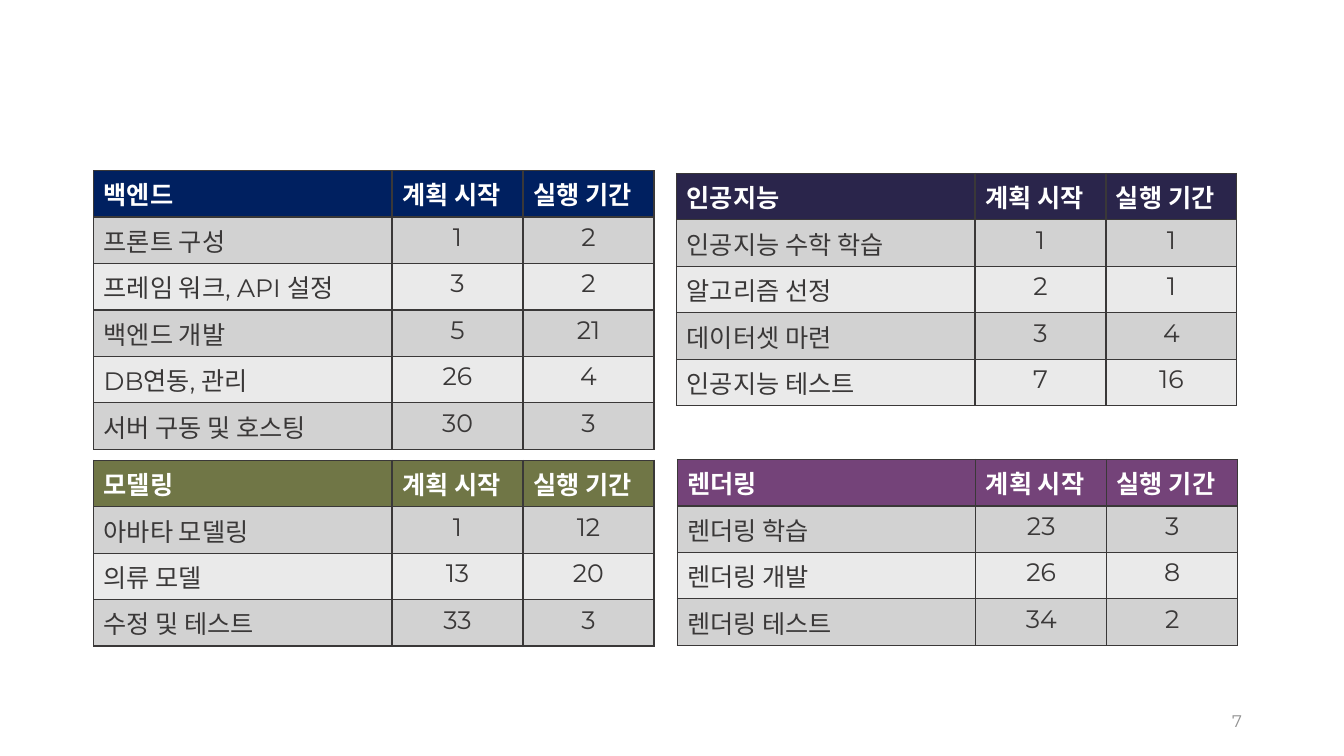
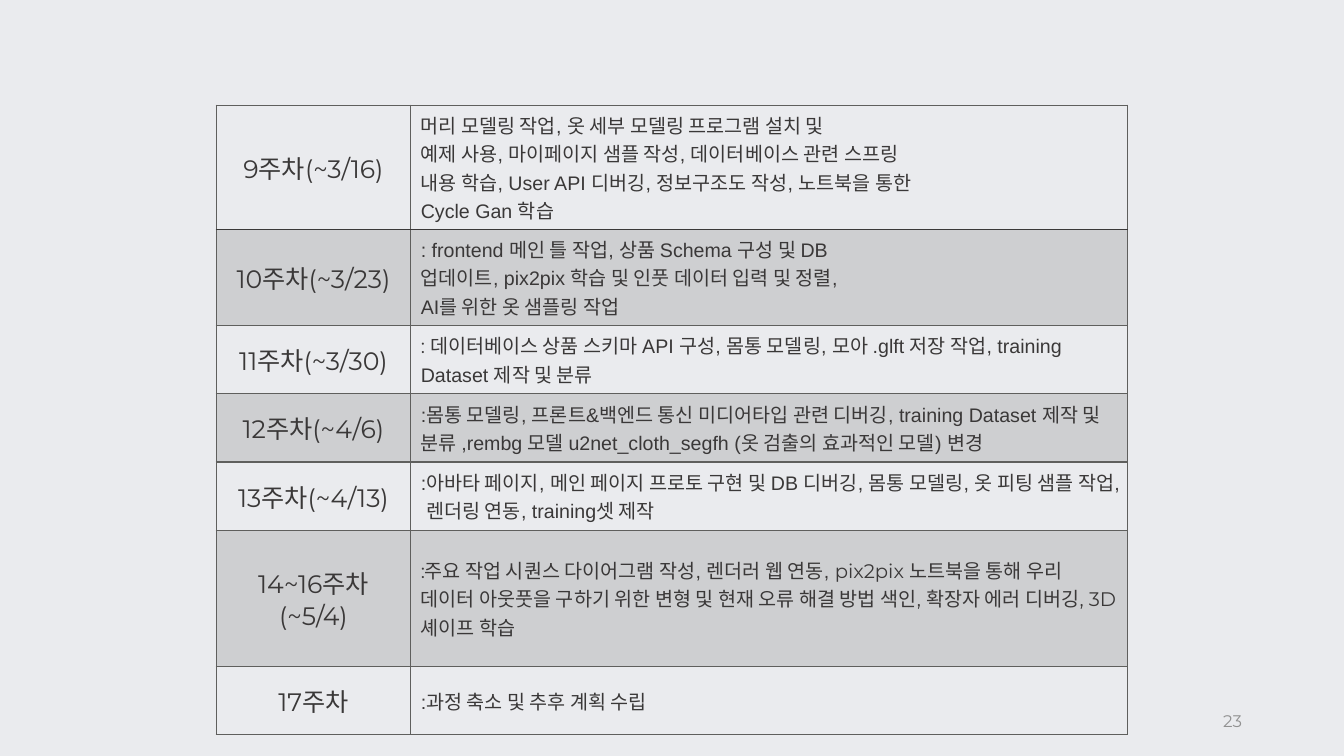
from dataclasses import dataclass

from lxml.etree import SubElement
from pptx import Presentation
from pptx.dml.color import RGBColor
from pptx.enum.text import MSO_ANCHOR as Anchor, PP_ALIGN as Align
from pptx.oxml import parse_xml
from pptx.oxml.ns import nsdecls, qn
from pptx.util import Cm, Pt


@dataclass(frozen=True)
class Theme:
    white: str = "FFFFFF"
    mist: str = "EAEBEE"
    ink: str = "3A3838"
    rule: str = "5F5F5D"
    number: str = "919191"
    odd_row: str = "D2D2D2"
    even_row: str = "EAEAEA"
    navy: str = "002060"
    indigo: str = "2A254B"
    olive: str = "707646"
    purple: str = "744379"
    heading_font: str = "Montserrat"
    body_font: str = "Arial"
    large: int = 18
    medium: int = 14
    small: int = 12


THEME = Theme()
HEADINGS = ["계획 시작", "실행 기간"]
TASK_COLUMNS = [7.52, 3.3, 3.3]
TASK_ROW = 1.17
WEEK_COLUMNS = [4.9, 18.06]

PLANS = [
    (17.07, 11.58, THEME.purple, "렌더링",
     [("렌더링 학습", 23, 3), ("렌더링 개발", 26, 8), ("렌더링 테스트", 34, 2)]),
    (2.36, 11.6, THEME.olive, "모델링",
     [("아바타 모델링", 1, 12), ("의류 모델", 13, 20), ("수정 및 테스트", 33, 3)]),
    (17.05, 4.37, THEME.indigo, "인공지능",
     [("인공지능 수학 학습", 1, 1), ("알고리즘 선정", 2, 1),
      ("데이터셋 마련", 3, 4), ("인공지능 테스트", 7, 16)]),
    (2.36, 4.3, THEME.navy, "백엔드",
     [("프론트 구성", 1, 2), ("프레임 워크, API 설정", 3, 2),
      ("백엔드 개발", 5, 21), ("DB연동, 관리", 26, 4),
      ("서버 구동 및 호스팅", 30, 3)]),
]

WEEKS = [
    ("9주차(~3/16)", 3.13, [
        "머리 모델링 작업, 옷 세부 모델링 프로그램 설치 및",
        "예제 사용, 마이페이지 샘플 작성, 데이터베이스 관련 스프링",
        "내용 학습, User API 디버깅, 정보구조도 작성, 노트북을 통한",
        "Cycle Gan 학습"]),
    ("10주차(~3/23)", 2.42, [
        ": frontend 메인 틀 작업, 상품 Schema 구성 및 DB",
        "업데이트, pix2pix 학습 및 인풋 데이터 입력 및 정렬,",
        "AI를 위한 옷 샘플링 작업"]),
    ("11주차(~3/30)", 1.72, [[
        (": ", THEME.heading_font),
        ("데이터베이스 상품 스키마 API 구성, 몸통 모델링, 모아 .glft 저장 작업, "
         "training Dataset 제작 및 분류", THEME.body_font)]]),
    ("12주차(~4/6)", 1.72, [
        ":몸통 모델링, 프론트&백엔드 통신 미디어타입 관련 디버깅, training Dataset "
        "제작 및 분류 ,rembg 모델 u2net_cloth_segfh (옷 검출의 효과적인 모델) 변경"]),
    ("13주차(~4/13)", 1.72, [
        ":아바타 페이지, 메인 페이지 프로토 구현 및 DB 디버깅, 몸통 모델링, 옷 피팅 "
        "샘플 작업, 렌더링 연동, training셋 제작"]),
    ("14~16주차(~5/4)", 3.43, [[
        (":", THEME.heading_font),
        ("주요 작업 시퀀스 다이어그램 작성, 렌더러 웹 연동, ", THEME.body_font),
        ("pix2pix 노트북을 통해 우리 데이터 아웃풋을 구하기 위한 변형 및 "
         "현재 오류 해결 방법 색인, 확장자 에러 디버깅, 3D 셰이프 학습",
         THEME.heading_font)]]),
    ("17주차", 1.72, [":과정 축소 및 추후 계획 수립"]),
]


class Deck:
    """Draw styled elements on the current slide."""

    def __init__(self, theme):
        self.theme = theme
        self.presentation = Presentation()
        self.presentation.slide_width = Cm(33.87)
        self.presentation.slide_height = Cm(19.05)
        self.slide = None

    def add_slide(self, background, number):
        layout = self.presentation.slide_layouts[6]
        self.slide = self.presentation.slides.add_slide(layout)
        fill = self.slide.background.fill
        fill.solid()
        fill.fore_color.rgb = RGBColor.from_string(background)
        box = self.slide.shapes.add_textbox(Cm(23.93), Cm(17.65), Cm(7.62), Cm(1.02))
        box.text_frame.word_wrap = True
        box.text_frame.vertical_anchor = Anchor.MIDDLE
        self.add_text(box.text_frame, [str(number)], self.theme.number, Align.RIGHT,
                      size=self.theme.small)

    def add_text(self, frame, paragraphs, color, align=Align.LEFT, **font_format):
        settings = {"name": self.theme.heading_font, "size": self.theme.large,
                    "bold": False} | font_format
        for index, content in enumerate(paragraphs):
            paragraph = frame.add_paragraph() if index else frame.paragraphs[0]
            paragraph.alignment = align
            runs = [(content, settings["name"])] if isinstance(content, str) else content
            for text, font_name in runs:
                run = paragraph.add_run()
                run.text = text
                values = settings | {"name": font_name, "size": Pt(settings["size"])}
                for name, value in values.items():
                    setattr(run.font, name, value)
                run.font.color.rgb = RGBColor.from_string(color)

    def add_table(self, left, top, widths, heights):
        frame = self.slide.shapes.add_table(
            len(heights), len(widths), Cm(left), Cm(top),
            Cm(sum(widths)), Cm(sum(heights)))
        table = frame.table
        table.first_row = table.horz_banding = False
        for column, width in zip(table.columns, widths):
            column.width = Cm(width)
        for row, height in zip(table.rows, heights):
            row.height = Cm(height)
        return table

    def paint(self, cell, color, opacity=None):
        if color is None:
            cell.fill.background()
            return
        cell.fill.solid()
        cell.fill.fore_color.rgb = RGBColor.from_string(color)
        if opacity:
            properties = cell._tc.get_or_add_tcPr()
            swatch = properties.find(qn("a:solidFill")).find(qn("a:srgbClr"))
            SubElement(swatch, qn("a:alpha"), val=str(opacity * 1000))

    def outline(self, cell, color, **side_colors):
        properties = cell._tc.get_or_add_tcPr()
        for index, side in enumerate("LRTB"):
            properties.insert(index, parse_xml(
                f'<a:ln{side} {nsdecls("a")} w="12700"><a:solidFill>'
                f'<a:srgbClr val="{side_colors.get(side, color)}"/>'
                f'</a:solidFill></a:ln{side}>'))

    def add_plan(self, left, top, accent, title, tasks):
        rows = [(title, *HEADINGS), *tasks]
        table = self.add_table(left, top, TASK_COLUMNS, [TASK_ROW] * len(rows))
        theme = self.theme
        for row_index, row in enumerate(rows):
            heading = row_index == 0
            band = theme.odd_row if row_index % 2 else theme.even_row
            for column_index, value in enumerate(row):
                cell = table.cell(row_index, column_index)
                centred = column_index and not heading
                self.add_text(cell.text_frame, [str(value)],
                              theme.white if heading else theme.ink,
                              Align.CENTER if centred else Align.LEFT, bold=heading)
                self.paint(cell, accent if heading else band)
                self.outline(cell, theme.ink)

    def add_schedule(self, left, top, weeks):
        theme = self.theme
        table = self.add_table(left, top, WEEK_COLUMNS, [week[1] for week in weeks])
        edges = {0: {"B": theme.ink}, 1: {"T": theme.ink}}
        for row_index, (label, _, lines) in enumerate(weeks):
            name, work = table.rows[row_index].cells
            self.add_text(name.text_frame, [label], theme.ink, Align.CENTER)
            self.add_text(work.text_frame, lines, theme.ink,
                          name=theme.body_font, size=theme.medium)
            for cell in (name, work):
                cell.vertical_anchor = Anchor.MIDDLE
                self.paint(cell, theme.rule if row_index % 2 else None, opacity=20)
                self.outline(cell, theme.rule, **edges.get(row_index, {}))


def main():
    deck = Deck(THEME)
    deck.add_slide(THEME.white, 7)
    for plan in PLANS:
        deck.add_plan(*plan)
    deck.add_slide(THEME.mist, 23)
    deck.add_schedule(5.45, 2.65, WEEKS)
    deck.presentation.save("out.pptx")


if __name__ == "__main__":
    main()
